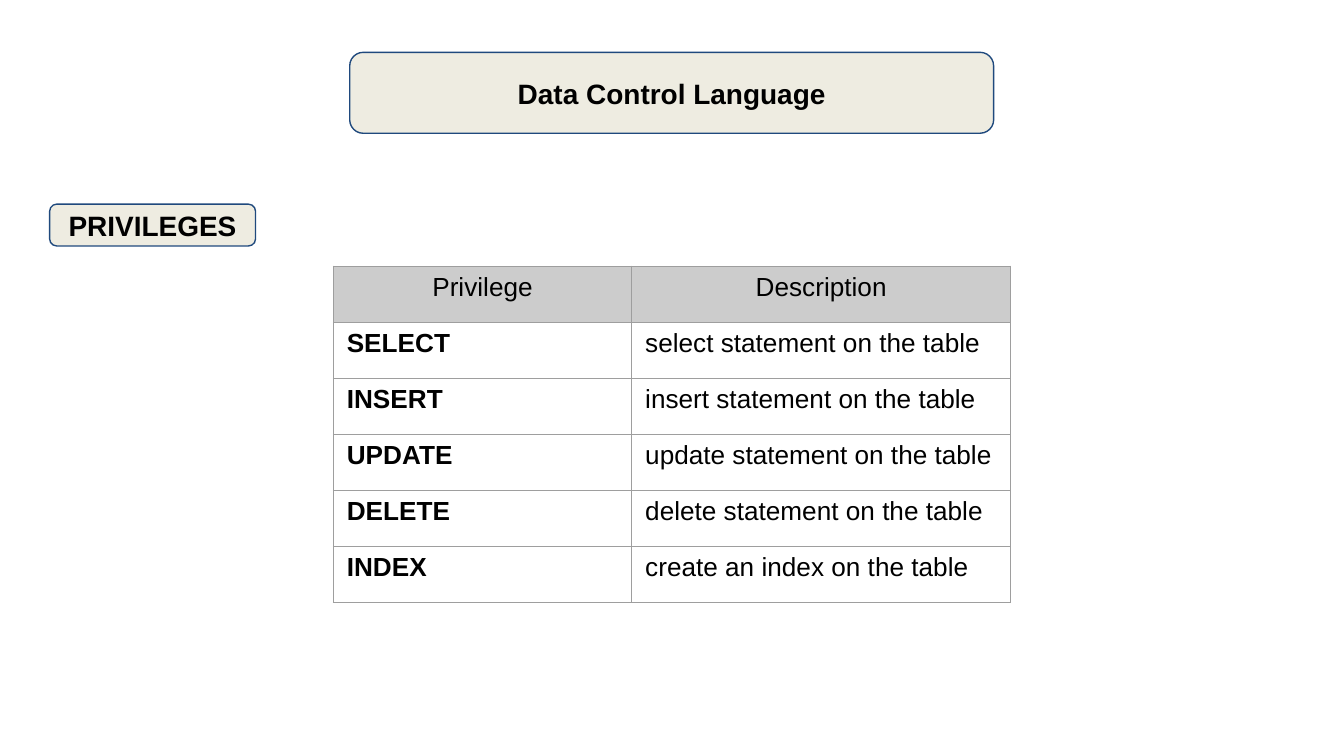
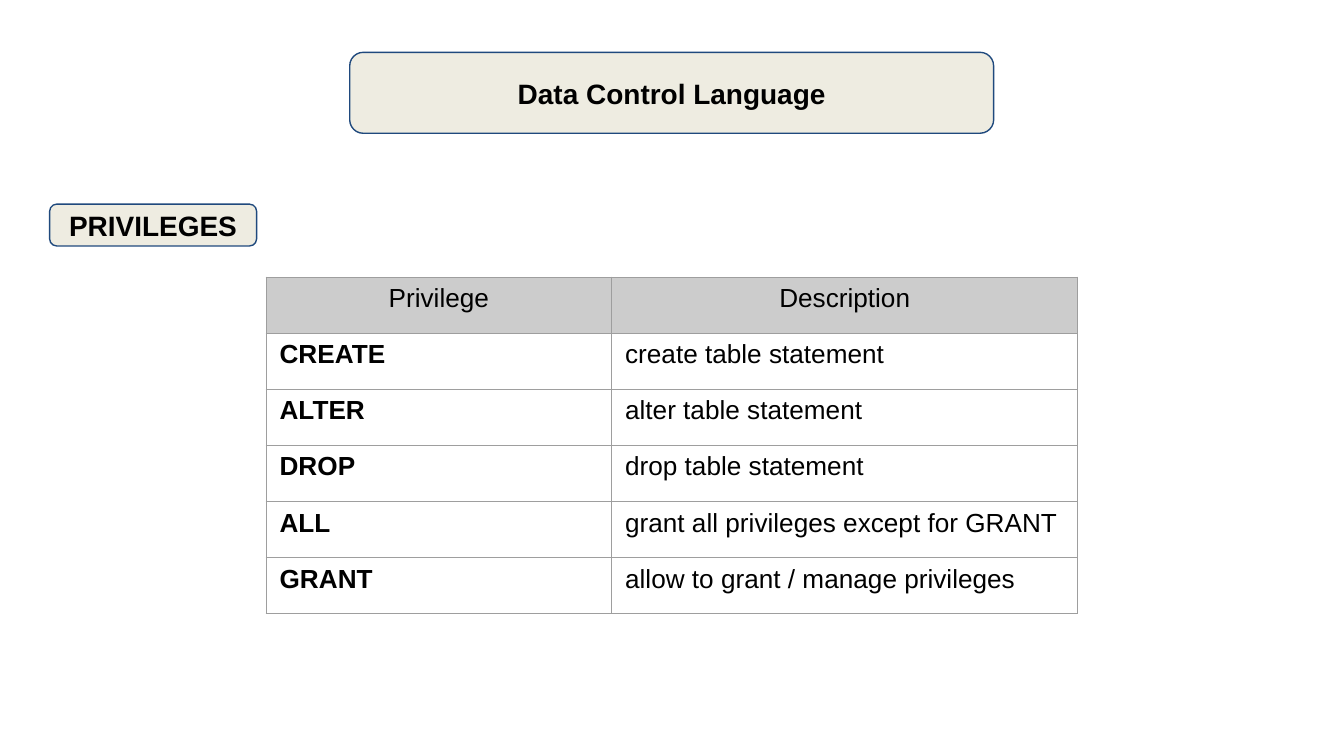
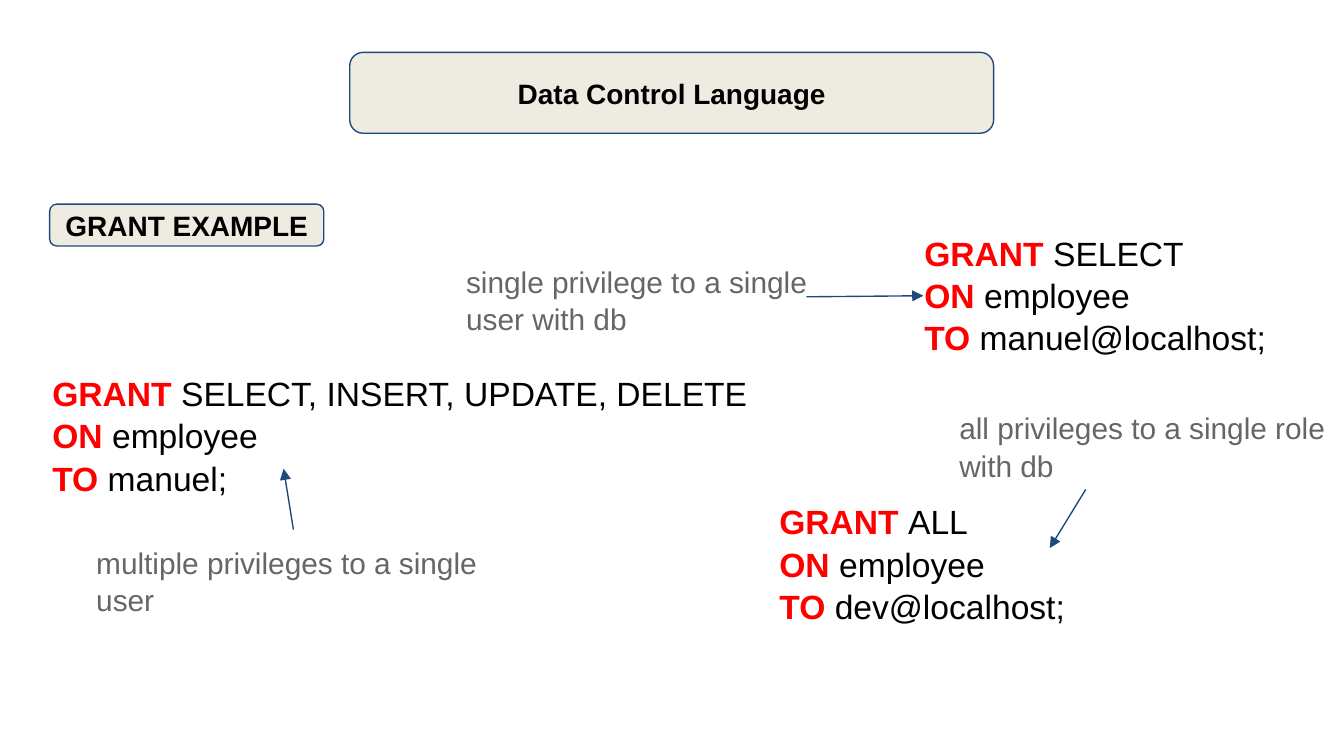
from dataclasses import dataclass

from lxml.etree import SubElement
from pptx import Presentation
from pptx.dml.color import RGBColor
from pptx.enum.shapes import MSO_CONNECTOR as CONN, MSO_SHAPE as SHAPE
from pptx.enum.text import MSO_ANCHOR as ANCHOR, MSO_AUTO_SIZE as AUTO, PP_ALIGN as ALIGN
from pptx.oxml.ns import qn
from pptx.util import Cm, Pt

# Shared look
COLORS = {
    "panel": "EEECE1",
    "navy": "1F497D",
    "black": "000000",
    "keyword": "FF0000",
    "note": "666666",
    "header": "CCCCCC",
    "border": "9E9E9E",
}
FONT = "Arial"
SLIDE_W, SLIDE_H = 25.4, 14.29
INSET = 0.25
ROW_H = 1.06
LINE_W = Pt(0.75)


@dataclass(frozen=True)
class Box:
    left: float
    top: float
    width: float
    height: float

    def lengths(self) -> tuple:
        return Cm(self.left), Cm(self.top), Cm(self.width), Cm(self.height)


@dataclass(frozen=True)
class PrivilegeTable:
    label_w: float
    top: float
    col_widths: tuple
    rows: tuple


@dataclass(frozen=True)
class Statement:
    box: Box
    lines: tuple


@dataclass(frozen=True)
class Note:
    left: float
    top: float
    text: str
    arrow_from: tuple
    arrow_to: tuple
    from_top: bool = False


TITLE_BOX = Box(6.61, 0.99, 12.17, 1.53)
HEADINGS = ("Privilege", "Description")

TABLES = (
    PrivilegeTable(3.89, 5.03, (5.64, 7.16), (
        ("SELECT", "select statement on the table"),
        ("INSERT", "insert statement on the table"),
        ("UPDATE", "update statement on the table"),
        ("DELETE", "delete statement on the table"),
        ("INDEX", "create an index on the table"),
    )),
    PrivilegeTable(3.91, 5.24, (6.53, 8.81), (
        ("CREATE", "create table statement"),
        ("ALTER", "alter table statement"),
        ("DROP", "drop table statement"),
        ("ALL", "grant all privileges except for GRANT"),
        ("GRANT", "allow to grant / manage privileges"),
    )),
)

STATEMENTS = (
    Statement(Box(17.22, 4.11, 7.14, 2.92),
              ("GRANT SELECT", "ON employee", "TO manuel@localhost;")),
    Statement(Box(0.74, 6.76, 13.79, 2.92),
              ("GRANT SELECT, INSERT, UPDATE, DELETE", "ON employee", "TO manuel;")),
    Statement(Box(14.48, 9.19, 9.58, 2.92),
              ("GRANT ALL", "ON employee", "TO dev@localhost;")),
)

NOTES = (
    Note(8.56, 4.7, "single privilege to a single user with db",
         (15.24, 5.61), (17.45, 5.59)),
    Note(1.57, 10.01, "multiple privileges to a single user",
         (5.54, 10.01), (5.36, 8.86), from_top=True),
    Note(17.88, 7.47, "all privileges to a single role with db",
         (20.52, 9.25), (19.84, 10.36)),
)


# Helpers
def rgb(name: str) -> RGBColor:
    return RGBColor.from_string(COLORS[name])


def style_run(r, size: float, color: str = "black", bold: bool = False) -> None:
    r.font.name = FONT
    r.font.size = Pt(size)
    r.font.bold = bold
    r.font.color.rgb = rgb(color)


def set_frame(tf, anchor=ANCHOR.TOP) -> None:
    tf.word_wrap = True
    tf.auto_size = AUTO.NONE
    tf.vertical_anchor = anchor
    tf.margin_left = tf.margin_right = tf.margin_top = tf.margin_bottom = Cm(INSET)


def set_heading(sp, text: str) -> None:
    tf = sp.text_frame
    set_frame(tf, ANCHOR.MIDDLE)
    tf.text = text
    p = tf.paragraphs[0]
    p.alignment = ALIGN.CENTER
    style_run(p.runs[0], 15, bold=True)


def add_panel(s, box: Box):
    sp = s.shapes.add_shape(SHAPE.ROUNDED_RECTANGLE, *box.lengths())
    sp.shadow.inherit = False
    sp.fill.solid()
    sp.fill.fore_color.rgb = rgb("panel")
    sp.line.color.rgb = rgb("navy")
    sp.line.width = LINE_W
    return sp


def add_slide(prs, label: str, label_w: float):
    s = prs.slides.add_slide(prs.slide_layouts[5])
    title = s.shapes.title
    title.left, title.top, title.width, title.height = TITLE_BOX.lengths()
    set_heading(title, "Data Control Language")
    # The title lies in front of its panel
    add_panel(s, TITLE_BOX).element.addnext(title.element)
    set_heading(add_panel(s, Box(0.94, 3.86, label_w, 0.79)), label)
    return s


def add_borders(cell) -> None:
    tc_pr = cell._tc.get_or_add_tcPr()
    for side in ("lnL", "lnR", "lnT", "lnB"):
        ln = SubElement(tc_pr, qn(f"a:{side}"), w=str(LINE_W))
        fill = SubElement(ln, qn("a:solidFill"))
        SubElement(fill, qn("a:srgbClr"), val=COLORS["border"])


def add_privileges(s, spec: PrivilegeTable) -> None:
    rows = (HEADINGS, *spec.rows)
    width = sum(spec.col_widths)
    box = Box((SLIDE_W - width) / 2, spec.top, width, ROW_H * len(rows))
    table = s.shapes.add_table(len(rows), len(HEADINGS), *box.lengths()).table
    table.first_row = table.horz_banding = False
    for col, col_w in zip(table.columns, spec.col_widths):
        col.width = Cm(col_w)
    for i, texts in enumerate(rows):
        table.rows[i].height = Cm(ROW_H)
        for j, text in enumerate(texts):
            cell = table.cell(i, j)
            cell.text = text
            p = cell.text_frame.paragraphs[0]
            style_run(p.runs[0], 14, bold=i > 0 and j == 0)
            add_borders(cell)
            if i == 0:
                p.alignment = ALIGN.CENTER
                cell.fill.solid()
                cell.fill.fore_color.rgb = rgb("header")
            else:
                cell.fill.background()


def add_statement(s, spec: Statement) -> None:
    tf = s.shapes.add_textbox(*spec.box.lengths()).text_frame
    set_frame(tf)
    tf.text = "\n".join(line.split(" ")[0] + " " for line in spec.lines)
    for p, line in zip(tf.paragraphs, spec.lines):
        p.line_spacing = 1.05
        style_run(p.runs[0], 18, "keyword", bold=True)
        r = p.add_run()
        r.text = line.split(" ", 1)[1]
        style_run(r, 18)


def add_note(s, spec: Note) -> None:
    sp = s.shapes.add_textbox(*Box(spec.left, spec.top, 7.95, 1.73).lengths())
    set_frame(sp.text_frame)
    sp.text_frame.text = spec.text
    p = sp.text_frame.paragraphs[0]
    p.line_spacing = 1.05
    style_run(p.runs[0], 16, "note")

    ends = (Cm(v) for v in spec.arrow_from + spec.arrow_to)
    arrow = s.shapes.add_connector(CONN.STRAIGHT, *ends)
    if spec.from_top:
        arrow.begin_connect(sp, 0)
    arrow.line.color.rgb = rgb("navy")
    arrow.line.width = LINE_W
    SubElement(arrow.line._get_or_add_ln(), qn("a:tailEnd"), type="triangle")
    SubElement(arrow.element.spPr, qn("a:effectLst"))


def main() -> None:
    prs = Presentation()
    prs.slide_width, prs.slide_height = Cm(SLIDE_W), Cm(SLIDE_H)

    # Privilege tables
    for spec in TABLES:
        add_privileges(add_slide(prs, "PRIVILEGES", spec.label_w), spec)

    # Grant examples
    s = add_slide(prs, "GRANT EXAMPLE", 5.18)
    for statement in STATEMENTS:
        add_statement(s, statement)
    for note in NOTES:
        add_note(s, note)

    prs.save("out.pptx")


if __name__ == "__main__":
    main()
